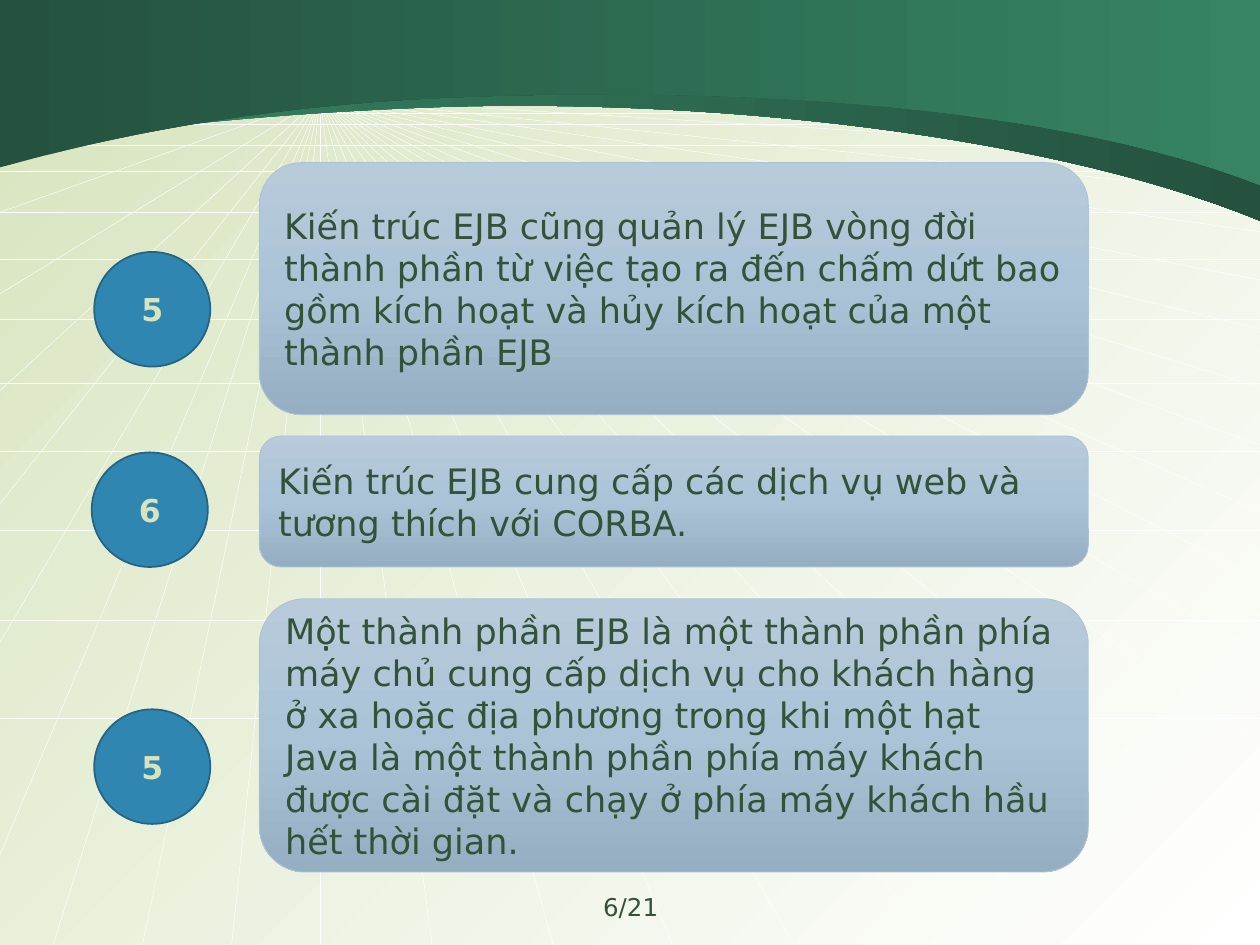
from copy import deepcopy

from lxml.etree import SubElement
from pptx import Presentation
from pptx.dml.color import RGBColor as Rgb
from pptx.enum.shapes import MSO_CONNECTOR as Link, MSO_SHAPE as Preset
from pptx.enum.text import MSO_ANCHOR as Anchor, PP_ALIGN as Align
from pptx.oxml.ns import qn
from pptx.util import Cm, Pt

COLORS = {
    "pale": "D7E4BE", "white": "FFFFFF", "text": "335338",
    "dark green": "24523F", "green": "368463",
    "box top": "B7CBDB", "box middle": "ABC3D7", "box bottom": "95AEC2",
    "box edge": "ADC3D5", "disc": "2F86B1", "disc edge": "236383",
}
WIDTH, HEIGHT = 25.4, 19.05
LEFT, RIGHT = -0.03, 25.38
HORIZON = (6.45, 1.98)
RAYS_RIGHT = (14.96, 17.27, 13.21, 11.66, 10.31, 8.97, 7.8, 6.63, 5.64, 4.67, 3.91, 3.12, 2.54)
RAYS_BOTTOM = (24.38, 21.49, 18.75, 16, 13.56, 11.15, 8.71, 6.45, 4.67, 2.87, 1.07)
RAYS_LEFT = (17.3, 13, 10.19, 7.9, 5.94, 4.29, 2.95, 2.46, 1.98)
LEVELS = (14.48, 12.5, 10.69, 9.09, 7.72, 6.43, 5.23, 4.27, 3.45, 2.93, 2.5, 2.29, 2.13)
BANDS = (
    ([(LEFT, 3.02), (0.28, 3), (3.38, 2.36), (8.81, 2.16),
      (14.25, 1.98), (21.11, 2.69), (WIDTH, 4.45)], ("green", "dark green")),
    ([(LEFT, 3.38), (0.28, 3.33), (3.84, 2.16), (9.25, 1.96),
      (14.66, 1.75), (21.11, 2.06), (WIDTH, 3.73)], ("dark green", "green")),
)
ITEMS = (
    (3.28, 5.08, "5", 1.9, 5.08,
     "Kiến trúc EJB cũng quản lý EJB vòng đời thành phần từ việc tạo ra đến chấm dứt "
     "bao gồm kích hoạt và hủy kích hoạt của một thành phần EJB"),
    (8.79, 2.64, "6", 1.85, 9.12,
     "Kiến trúc EJB cung cấp các dịch vụ web và tương thích với CORBA."),
    (12.07, 5.51, "5", 1.9, 14.3,
     "Một thành phần EJB là một thành phần phía máy chủ cung cấp dịch vụ cho khách hàng "
     "ở xa hoặc địa phương trong khi một hạt Java là một thành phần phía máy khách "
     "được cài đặt và chạy ở phía máy khách hầu hết thời gian."),
)


def color(name):
    return Rgb.from_string(COLORS[name])


def write(shape, text, size=20, ink="text", bold=False, align=Align.LEFT, anchor=Anchor.MIDDLE):
    frame = shape.text_frame
    frame.word_wrap = True
    frame.vertical_anchor = anchor
    para = frame.paragraphs[0]
    para.alignment = align
    span = para.add_run()
    span.text = text
    span.font.name = "DejaVu Sans"
    span.font.size = Pt(size)
    span.font.bold = bold
    span.font.color.rgb = color(ink)


def shade(fill, element, names, angle):
    fill.gradient()
    fill.gradient_angle = (360 - angle) % 360
    stop_list = next(element.iter(qn("a:gsLst")))
    for _ in names[2:]:
        stop_list.append(deepcopy(stop_list[-1]))
    for index, (stop, name) in enumerate(zip(fill.gradient_stops, names)):
        stop.position = index / (len(names) - 1)
        stop.color.rgb = color(name)


def curve_points(knots, steps=30):
    points = [knots[0]]
    for first in range(0, len(knots) - 1, 3):
        a, b, c, d = knots[first:first + 4]
        for step in range(1, steps + 1):
            t = step / steps
            u = 1 - t
            points.append(tuple(
                u**3 * a[i] + 3 * u * u * t * b[i] + 3 * u * t * t * c[i] + t**3 * d[i]
                for i in (0, 1)))
    return points


class Painter:
    def __init__(self, slide):
        self.slide = slide
        self.shapes = slide.shapes
        self.box_fill = ("box top", "box middle", "box bottom")

    def background(self):
        shade(self.slide.background.fill, self.slide.element, ("pale", "white"), 45)

    def line(self, start, end):
        line = self.shapes.add_connector(Link.STRAIGHT, *map(Cm, start + end))
        line.line.color.rgb = color("white")
        line.line.width = Pt(0.25)
        SubElement(line._element.spPr, qn("a:effectLst"))

    def band(self, knots, names):
        outline = [*curve_points(knots), (WIDTH, 0)]
        builder = self.shapes.build_freeform(Cm(LEFT), 0)
        builder.add_line_segments([(Cm(x), Cm(y)) for x, y in outline], close=True)
        band = builder.convert_to_shape()
        band.shadow.inherit = False
        shade(band.fill, band._element, names, 0)
        band.line.fill.background()

    def preset(self, kind, place, edge, width):
        shape = self.shapes.add_shape(kind, *map(Cm, place))
        shape.shadow.inherit = False
        shape.line.color.rgb = color(edge)
        shape.line.width = Pt(width)
        return shape

    def box(self, top, height, text):
        box = self.preset(Preset.ROUNDED_RECTANGLE, (5.23, top, 16.71, height), "box edge", 0.5)
        shade(box.fill, box._element, self.box_fill, 90)
        write(box, text)

    def disc(self, left, top, number):
        disc = self.preset(Preset.OVAL, (left, top, 2.34, 2.31), "disc edge", 1)
        disc.fill.solid()
        disc.fill.fore_color.rgb = color("disc")
        write(disc, number, size=18, ink="pale", bold=True, align=Align.CENTER)

    def page_number(self, text):
        box = self.shapes.add_textbox(Cm(8.69), Cm(17.86), Cm(8.05), Cm(0.89))
        write(box, text, size=14, align=Align.CENTER, anchor=Anchor.TOP)


def main():
    deck = Presentation()
    deck.slide_width, deck.slide_height = Cm(WIDTH), Cm(HEIGHT)
    painter = Painter(deck.slides.add_slide(deck.slide_layouts[6]))
    painter.background()
    ray_ends = [(RIGHT, y) for y in RAYS_RIGHT]
    ray_ends += [(x, HEIGHT) for x in RAYS_BOTTOM]
    ray_ends += [(LEFT, y) for y in RAYS_LEFT]
    for end in ray_ends:
        painter.line(HORIZON, end)
    for level in LEVELS:
        painter.line((LEFT, level), (RIGHT, level))
    for knots, names in BANDS:
        painter.band(knots, names)
    painter.page_number("6/21")
    for top, height, number, disc_left, disc_top, text in ITEMS:
        painter.box(top, height, text)
        painter.disc(disc_left, disc_top, number)
    deck.save("out.pptx")


if __name__ == "__main__":
    main()
